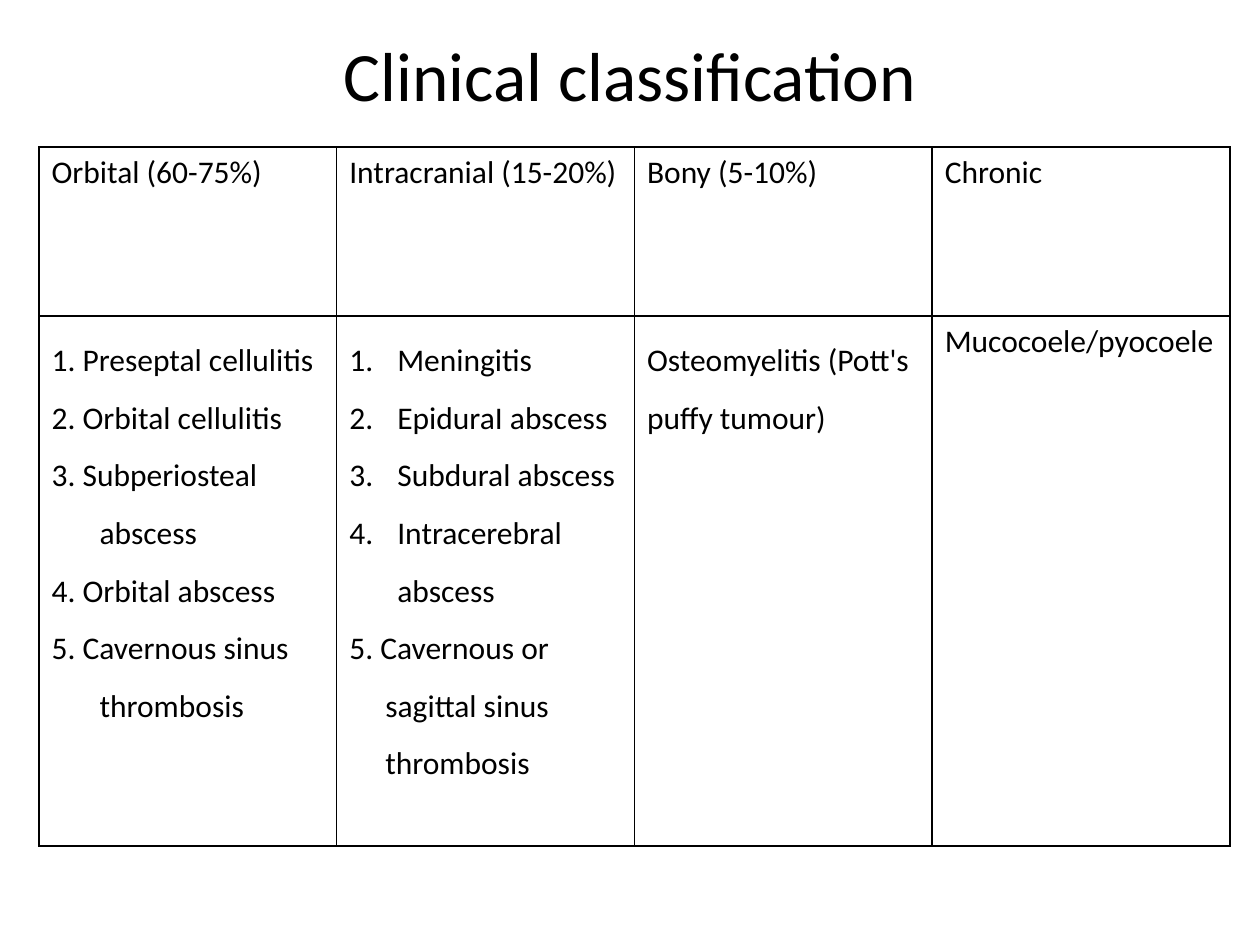
from pptx import Presentation
from pptx.dml.color import RGBColor
from pptx.enum.text import MSO_ANCHOR, PP_ALIGN
from pptx.oxml.ns import qn
from pptx.util import Pt
from lxml.etree import SubElement

PX = 914400 // 126  # EMU per px
COLORS = {"text": "000000", "border": "000000", "background": "FFFFFF"}
FONT = "Calibri"
HANG = 48  # hanging indent of the lists

HEADINGS = ["Orbital (60-75%)", "Intracranial (15-20%)", "Bony (5-10%)", "Chronic"]
# Each entry: text, left indent, first-line indent, numbered
ORBITAL = [
    (text, HANG, -HANG, False)
    for text in (
        "1. Preseptal cellulitis",
        "2. Orbital cellulitis",
        "3. Subperiosteal abscess",
        "4. Orbital abscess",
        "5. Cavernous sinus thrombosis",
    )
]
INTRACRANIAL = [
    (text, HANG, -HANG, True)
    for text in ("Meningitis", "EpiduraI abscess", "Subdural abscess", "Intracerebral abscess")
] + [
    ("5. Cavernous or", 0, 0, False),
    ("sagittal sinus", 36, 0, False),
    ("thrombosis", 36, 0, False),
]
BONY = [("Osteomyelitis (Pott's puffy tumour)", 0, 0, False)]
CHRONIC = [("Mucocoele/pyocoele", 0, 0, False)]


def color(name):
    return RGBColor.from_string(COLORS[name])


def format_runs(paragraph, size):
    for run in paragraph.runs:
        run.font.name = FONT
        run.font.size = Pt(size)
        run.font.color.rgb = color("text")


def add_title(slide, left, top, width, height):
    shape = slide.shapes.add_textbox(left * PX, top * PX, width * PX, height * PX)
    frame = shape.text_frame
    frame.word_wrap = True
    frame.vertical_anchor = MSO_ANCHOR.MIDDLE
    frame.text = "Clinical classification"
    frame.paragraphs[0].alignment = PP_ALIGN.CENTER
    format_runs(frame.paragraphs[0], 39.6)


def style_cell(cell):
    properties = cell._tc.get_or_add_tcPr()
    for side in ("lnL", "lnR", "lnT", "lnB"):
        line = SubElement(properties, qn(f"a:{side}"), w=str(Pt(1)))
        fill = SubElement(line, qn("a:solidFill"))
        SubElement(fill, qn("a:srgbClr"), val=COLORS["border"])
    cell.fill.solid()
    cell.fill.fore_color.rgb = color("background")


def fill_cell(cell, entries, line_spacing):
    style_cell(cell)
    frame = cell.text_frame
    for index, (text, left, first, numbered) in enumerate(entries):
        paragraph = frame.add_paragraph() if index else frame.paragraphs[0]
        properties = paragraph._p.get_or_add_pPr()
        properties.set("marL", str(left * PX))
        properties.set("indent", str(first * PX))
        if numbered:
            SubElement(properties, qn("a:buFont"), typeface="+mj-lt")
            SubElement(properties, qn("a:buAutoNum"), type="arabicPeriod")
        paragraph.line_spacing = line_spacing
        paragraph.text = text
        format_runs(paragraph, 18)


def add_classification(slide, left, top, width, row_heights):
    frame = slide.shapes.add_table(
        2, len(HEADINGS), left * PX, top * PX, width * PX, sum(row_heights) * PX
    )
    table = frame.table
    table.first_row = False
    table.horz_banding = False
    for row, height in zip(table.rows, row_heights):
        row.height = height * PX
    for column in table.columns:
        column.width = width * PX // len(HEADINGS)

    # Heading row
    for index, heading in enumerate(HEADINGS):
        fill_cell(table.cell(0, index), [(heading, 0, 0, False)], 1.0)

    # Complications under each heading
    for index, entries in enumerate((ORBITAL, INTRACRANIAL, BONY, CHRONIC)):
        fill_cell(table.cell(1, index), entries, 1.0 if entries is CHRONIC else 1.5)


def main():
    presentation = Presentation()
    presentation.slide_width = 1260 * PX
    presentation.slide_height = 945 * PX
    slide = presentation.slides.add_slide(presentation.slide_layouts[6])
    slide.background.fill.solid()
    slide.background.fill.fore_color.rgb = color("background")
    add_title(slide, 63, 38, 1134, 71)
    add_classification(slide, 39, 147, 1191, (169, 530))
    presentation.save("out.pptx")


if __name__ == "__main__":
    main()
